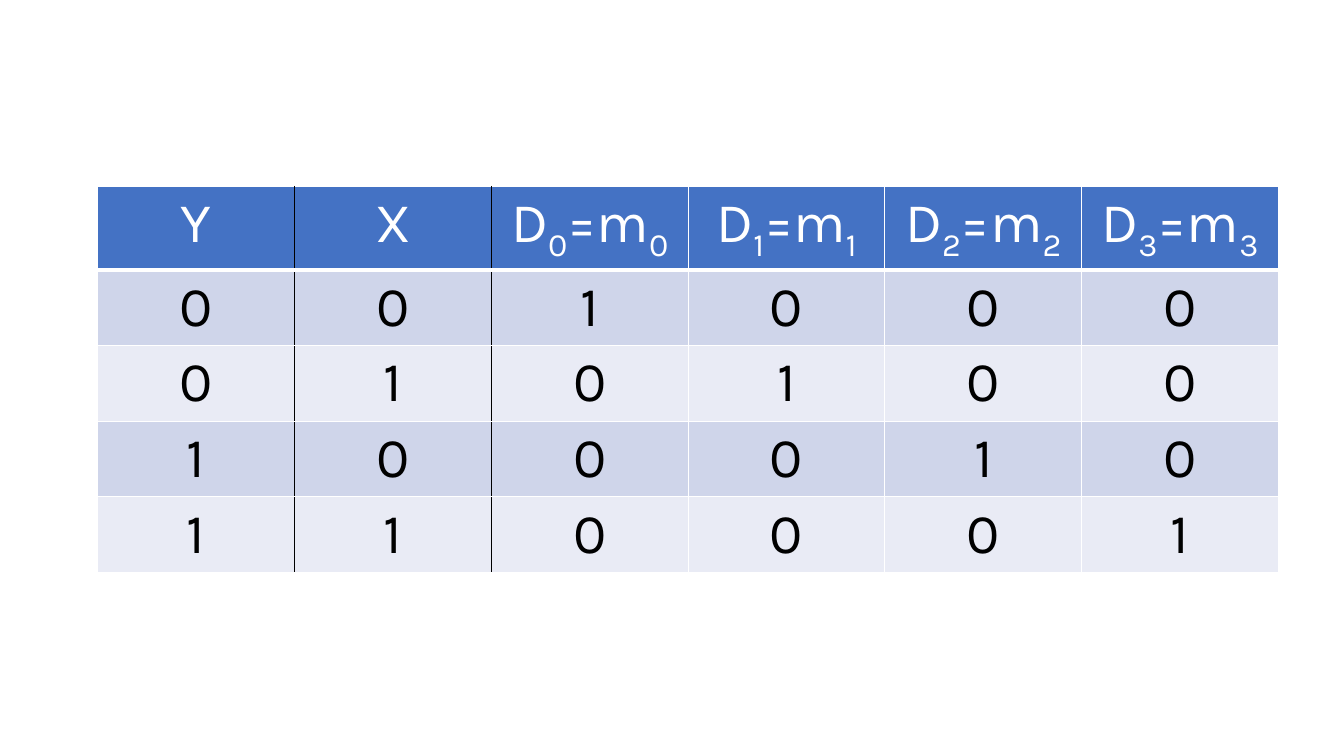
from lxml.etree import SubElement
from pptx import Presentation
from pptx.dml.color import RGBColor
from pptx.enum.text import PP_ALIGN
from pptx.oxml.ns import qn
from pptx.util import Inches, Pt

WHITE = RGBColor(0xFF, 0xFF, 0xFF)
BLACK = RGBColor(0x00, 0x00, 0x00)
BLUE = RGBColor(0x44, 0x72, 0xC4)
BANDS = (RGBColor(0xCF, 0xD5, 0xEA), RGBColor(0xE9, 0xEB, 0xF5))

HEAD = [["Y"], ["X"]] + [["D", str(n), "=m", str(n)] for n in range(4)]
BITS = ["001000", "010100", "100010", "110001"]


class Deck:
    """Draw styled tables on the current slide."""

    def __init__(self, font, size):
        self.font, self.size = font, Pt(size)
        self.show = Presentation()
        self.show.slide_width, self.show.slide_height = Inches(13.33), Inches(7.5)
        self.slide = self.show.slides.add_slide(self.show.slide_layouts[6])

    def text(self, cell, parts, color):
        para = cell.text_frame.paragraphs[0]
        para.alignment = PP_ALIGN.CENTER
        font = para.font
        font.name, font.size, font.bold = self.font, self.size, False
        font.color.rgb = color
        for spot, part in enumerate(parts):
            run = para.add_run()
            run.text = part
            if spot % 2:
                run.font._element.set("baseline", "-25000")

    def edge(self, cell, side, color, width):
        props = cell._tc.get_or_add_tcPr()
        line = SubElement(props, qn(f"a:ln{side}"), w=str(Pt(width)))
        fill = SubElement(line, qn("a:solidFill"))
        SubElement(fill, qn("a:srgbClr"), val=str(color))

    def cell(self, cell, row, col, parts):
        self.edge(cell, "L", BLACK if col in (1, 2) else WHITE, 1)
        self.edge(cell, "R", BLACK if col in (0, 1) else WHITE, 1)
        self.edge(cell, "T", WHITE, 3 if row == 1 else 1)
        self.edge(cell, "B", WHITE, 3 if row == 0 else 1)
        cell.fill.solid()
        cell.fill.fore_color.rgb = BANDS[(row - 1) % 2] if row else BLUE
        self.text(cell, parts, BLACK if row else WHITE)

    def table(self, rows, left, top, width, heights):
        frame = self.slide.shapes.add_table(
            len(rows), len(rows[0]), Inches(left), Inches(top),
            Inches(width), Inches(sum(heights)))
        grid = frame.table
        for row, (items, height) in enumerate(zip(rows, heights)):
            grid.rows[row].height = Inches(height)
            for col, parts in enumerate(items):
                self.cell(grid.cell(row, col), row, col, parts)


def main():
    deck = Deck("Karla", 40)
    deck.table([HEAD] + BITS, 0.97, 1.85, 11.71, [0.82] + [0.75] * 4)
    deck.show.save("out.pptx")


if __name__ == "__main__":
    main()
